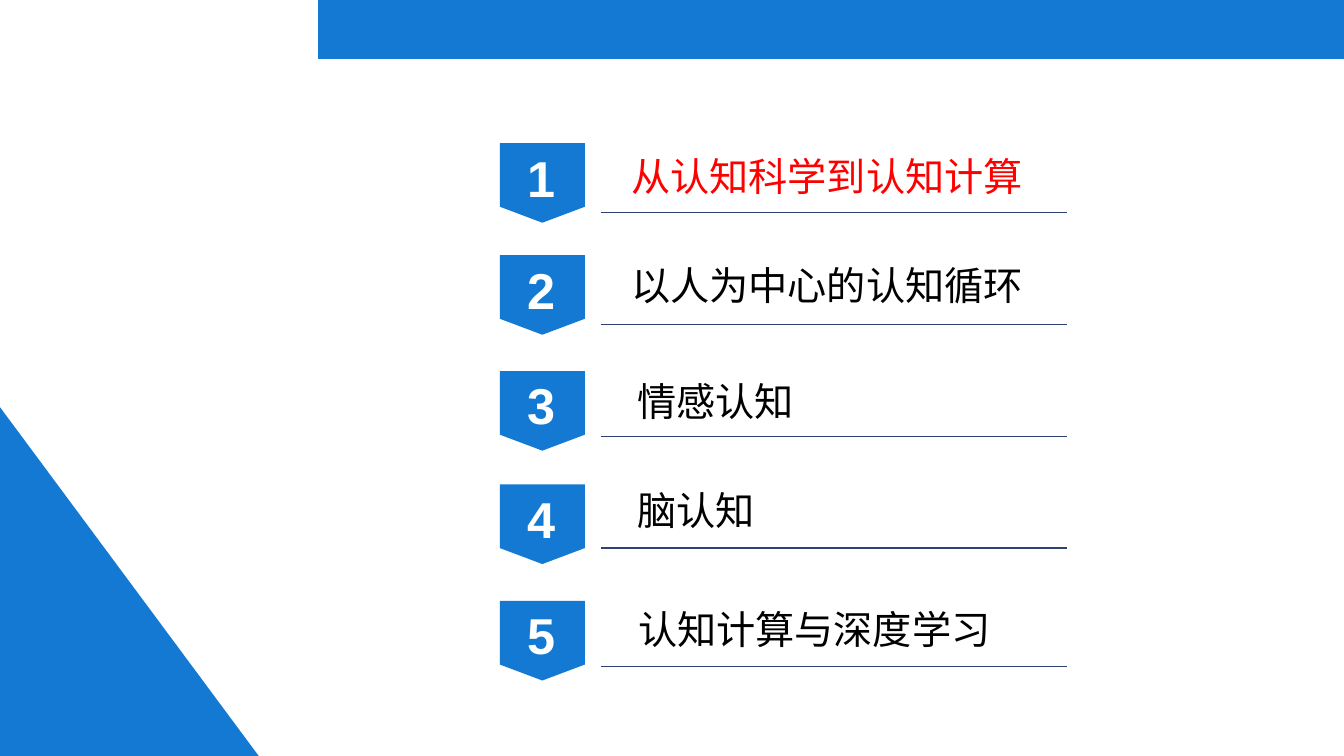
import pptx
import pptx.dml.color
import pptx.oxml.ns
import pptx.util
from dataclasses import dataclass
from lxml import etree

Pt = pptx.util.Pt
RGB = pptx.dml.color.RGBColor.from_string


@dataclass(frozen=True)
class Theme:
    """Colours, fonts and type sizes of the slide."""
    blue: str = "1379D3"
    rule: str = "304370"
    white: str = "FFFFFF"
    black: str = "000000"
    current: str = "FF0000"
    number_font: str = "Arial"
    topic_font: str = "Noto Sans CJK JP"
    number_size: float = 36
    topic_size: float = 28
    rule_width: float = 1.02


THEME = Theme()
WIDTH, HEIGHT = 960, 540
AGENDA_LEFT, AGENDA_WIDTH = 357.12, 405
TOPICS = [
    ("从认知科学到认知计算", 102.2, 108, 151.9, 450.9, 282.2),
    ("以人为中心的认知循环", 182.2, 185.8, 231.8, 450.9, 282.2),
    ("情感认知", 265, 268.6, 311.8, 455.2, 114.5),
    ("脑认知", 346, 346.3, 391.5, 455.5, 86.4),
    ("认知计算与深度学习", 429.2, 431.3, 475.9, 455.8, 254.2),
]


def add_outline(slide, corners):
    """Draw a filled blue polygon through the corners."""
    builder = slide.shapes.build_freeform(Pt(corners[0][0]), Pt(corners[0][1]), scale=1.0)
    builder.add_line_segments([(Pt(x), Pt(y)) for x, y in corners[1:]], close=True)
    outline = builder.convert_to_shape()
    outline.shadow.inherit = False
    outline.fill.solid()
    outline.fill.fore_color.rgb = RGB(THEME.blue)
    outline.line.fill.background()


def add_label(slide, box, wording, font, size, colour, bold=False, top_inset=1):
    """Place one line of text in the box."""
    label = slide.shapes.add_textbox(*map(Pt, box))
    frame = label.text_frame
    frame.word_wrap = True
    frame.margin_left = frame.margin_right = frame.margin_bottom = 0
    frame.margin_top = Pt(top_inset)
    run = frame.paragraphs[0].add_run()
    run.text = wording
    run.font.name = font
    run.font.size = Pt(size)
    run.font.bold = bold
    run.font.color.rgb = RGB(colour)
    east_asian = etree.SubElement(run.font._element, pptx.oxml.ns.qn("a:ea"))
    east_asian.set("typeface", font)


def add_rule(slide, left, top, width):
    """Draw the thin line under a topic."""
    rule = slide.shapes.add_connector(
        pptx.enum.shapes.MSO_CONNECTOR.STRAIGHT, Pt(left), Pt(top), Pt(left + width), Pt(top))
    rule.line.color.rgb = RGB(THEME.rule)
    rule.line.width = Pt(THEME.rule_width)
    etree.SubElement(rule._element.spPr, pptx.oxml.ns.qn("a:effectLst"))


def add_badge(slide, left, top, width, height, number):
    """Draw a pennant with its number."""
    right, shoulder = left + width, top + 0.8 * height
    add_outline(slide, [(right, top), (left, top), (left, shoulder),
                        (left + width / 2, top + height), (right, shoulder)])
    add_label(slide, (left + 19.4, top - 0.8, 22.3, 45.4), str(number),
              THEME.number_font, THEME.number_size, THEME.white, bold=True, top_inset=3.4)


def add_backdrop(slide, width, height):
    """Draw the top band and the corner triangle."""
    band_left, band_height = 227.2, 42.3
    add_outline(slide, [(band_left, band_height), (width, band_height),
                        (width, 0), (band_left, 0)])
    add_outline(slide, [(0, 290.9), (0, height), (184.8, height)])


def add_agenda(slide, left, width):
    """List the numbered topics, the first one highlighted."""
    for number, topic in enumerate(TOPICS, 1):
        wording, badge_top, text_top, rule_top, text_left, text_width = topic
        add_badge(slide, left, badge_top, 60.6, 56.9, number)
        add_rule(slide, left + 72, rule_top, width - 72)
        colour = THEME.current if number == 1 else THEME.black
        add_label(slide, (text_left, text_top, text_width, 35.4), wording,
                  THEME.topic_font, THEME.topic_size, colour)


def main():
    """Build and save the agenda slide."""
    deck = pptx.Presentation()
    deck.slide_width, deck.slide_height = Pt(WIDTH), Pt(HEIGHT)
    slide = deck.slides.add_slide(deck.slide_layouts[6])
    add_backdrop(slide, WIDTH, HEIGHT)
    add_agenda(slide, AGENDA_LEFT, AGENDA_WIDTH)
    deck.save("out.pptx")


if __name__ == "__main__":
    main()
